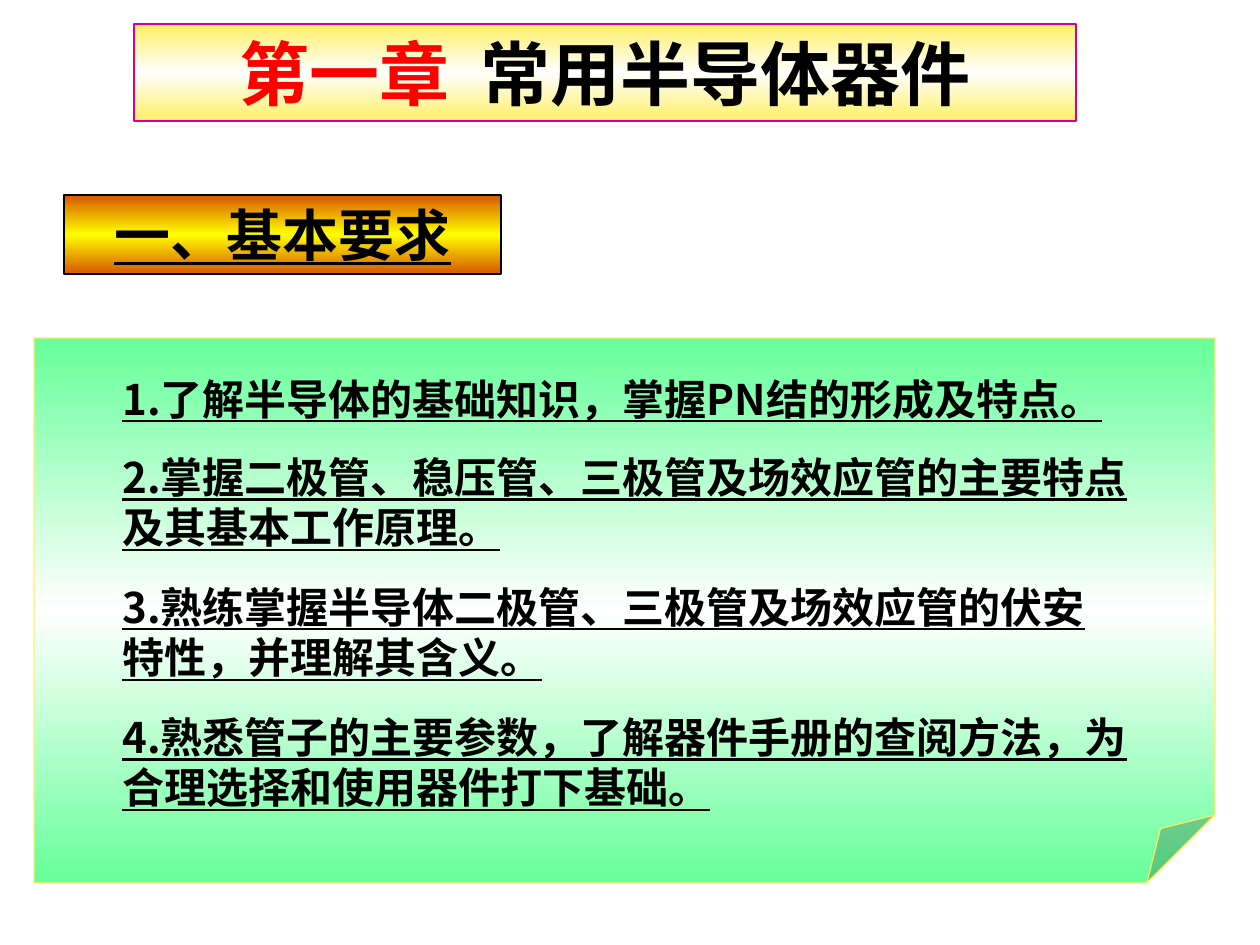
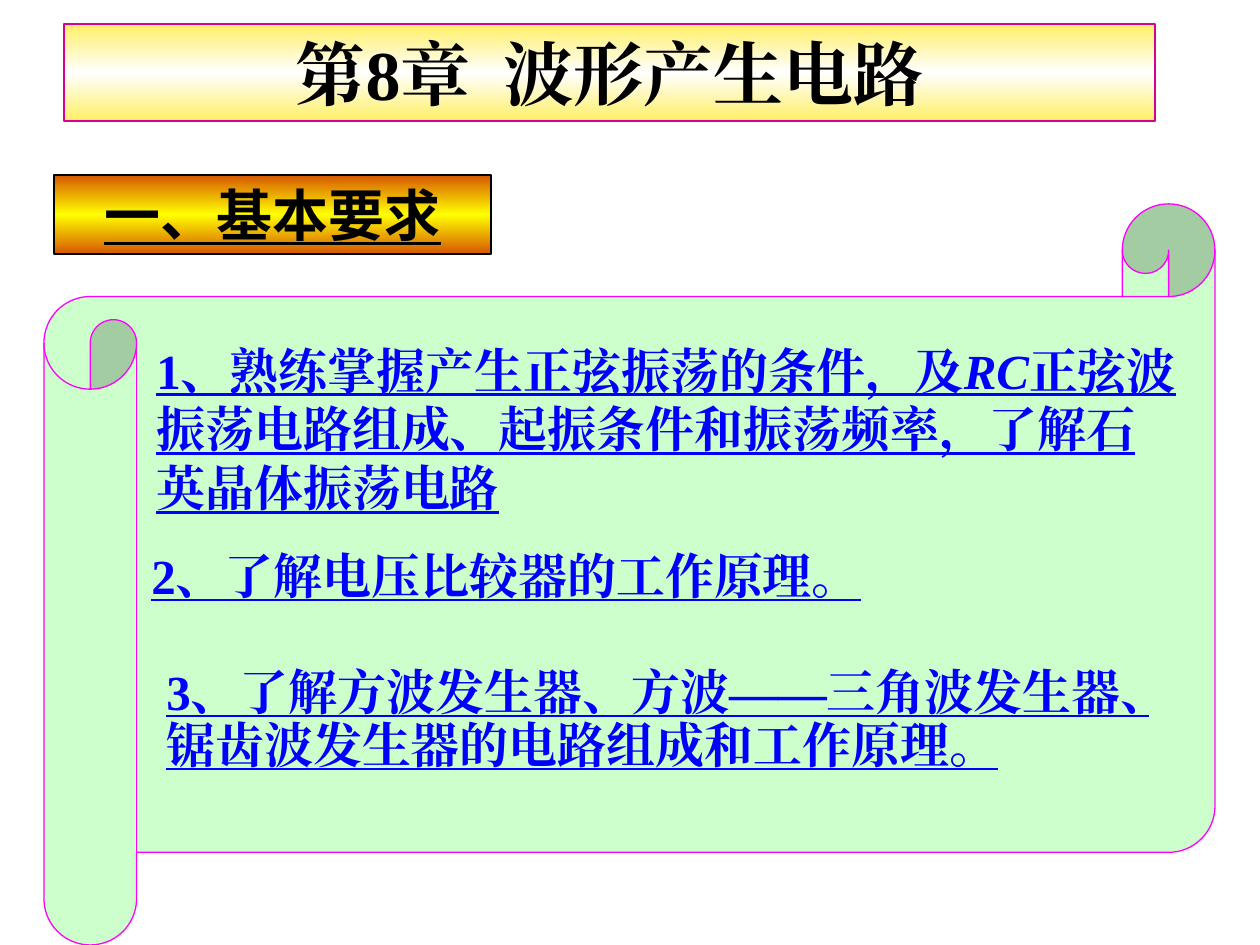
import copy
from dataclasses import dataclass

import lxml.etree
import pptx
import pptx.util
from pptx.dml.color import RGBColor
from pptx.enum.shapes import MSO_SHAPE
from pptx.enum.text import MSO_ANCHOR, PP_ALIGN
from pptx.oxml.ns import qn

PX = 914400 / 126


@dataclass(frozen=True)
class Theme:
    black: str = "000000"
    red: str = "FF0000"
    blue: str = "0000FF"
    magenta: str = "FF00FF"
    plum: str = "D60093"
    yellow: str = "FFEF66"
    bright_yellow: str = "FFFF00"
    orange: str = "D65700"
    green: str = "66FF99"
    pale_green: str = "CCFFCC"
    white: str = "FFFFFF"
    sans: str = "Noto Sans CJK SC"
    serif: str = "Times New Roman"
    heading_font: str = "Arial"
    title_size: int = 40
    heading_size: int = 32
    scroll_size: int = 28
    note_size: int = 24
    title_gap: int = 9  # extra width of the space after the chapter number


T = Theme()


def emu(*lengths):
    return [round(n * PX) for n in lengths]


# Shared drawing helpers
def fill_bands(sp, edge, middle):
    """Vertical gradient: edge colour, middle colour, edge colour."""
    sp.fill.gradient()
    sp.fill.gradient_angle = 270
    stops = sp._element.spPr.find(qn("a:gradFill")).find(qn("a:gsLst"))
    stops.append(copy.deepcopy(stops[-1]))
    for stop, pos, color in zip(sp.fill.gradient_stops, (0, 0.5, 1), (edge, middle, edge)):
        stop.position = pos
        stop.color.rgb = RGBColor.from_string(color)


def add_panel(s, kind, box, fill, line, weight=0.75):
    sp = s.shapes.add_shape(kind, *emu(*box))
    sp.shadow.inherit = False
    if isinstance(fill, tuple):
        fill_bands(sp, *fill)
    else:
        sp.fill.solid()
        sp.fill.fore_color.rgb = RGBColor.from_string(fill)
    sp.line.color.rgb = RGBColor.from_string(line)
    sp.line.width = pptx.util.Pt(weight)
    return sp


def add_run(p, text, font, size, color, underline=False, italic=False):
    r = p.add_run()
    r.text = text
    r.font.name = font
    r.font.size = pptx.util.Pt(size)
    r.font.bold = True
    r.font.italic = italic
    r.font.underline = underline
    r.font.color.rgb = RGBColor.from_string(color)
    latin = r.font._element.find(qn("a:latin"))
    east_asian = lxml.etree.Element(qn("a:ea"), typeface=font)
    latin.addnext(east_asian)
    return r


def add_paragraph_box(s, box, runs, font, size, color, spacing=None):
    """Underlined paragraph; runs are (text, italic) pairs."""
    tf = s.shapes.add_textbox(*emu(*box)).text_frame
    tf.word_wrap = True
    p = tf.paragraphs[0]
    p.line_spacing = spacing
    for text, italic in runs:
        add_run(p, text, font, size, color, True, italic)


# Regions
def chapter_title(s, box, number, name, font, number_color):
    sp = add_panel(s, MSO_SHAPE.RECTANGLE, box, (T.yellow, T.white), T.plum)
    tf = sp.text_frame
    tf.word_wrap = True
    tf.vertical_anchor = MSO_ANCHOR.TOP
    p = tf.paragraphs[0]
    p.alignment = PP_ALIGN.CENTER
    add_run(p, number, font, T.title_size, number_color)
    gap = add_run(p, " ", font, T.title_size, number_color)
    gap.font._element.set("spc", str(T.title_gap * 100))
    add_run(p, name, font, T.title_size, T.black)


def section_heading(s, left, top, text):
    sp = add_panel(s, MSO_SHAPE.RECTANGLE, (left, top, 437, 79),
                   (T.orange, T.bright_yellow), T.black, 1)
    tf = sp.text_frame
    tf.word_wrap = False
    tf.vertical_anchor = MSO_ANCHOR.MIDDLE
    p = tf.paragraphs[0]
    p.alignment = PP_ALIGN.CENTER
    add_run(p, text, T.heading_font, T.heading_size, T.black, True)


def folded_note(s, box, items):
    """Items are (text, width, line count), stacked at equal gaps."""
    sp = add_panel(s, MSO_SHAPE.FOLDED_CORNER, box, (T.green, T.white), T.yellow)
    guides = next(sp._element.iter(qn("a:avLst")))
    lxml.etree.SubElement(guides, qn("a:gd"), name="adj", fmla="val 12500")
    left, top = box[0] + 76, box[1] + 29
    line_height, gap = 52, 26
    for text, width, lines in items:
        height = lines * line_height
        add_paragraph_box(s, (left, top, width, height + 12), [(text, False)],
                          T.sans, T.note_size, T.black)
        top += height + gap


def scroll(s, box, items):
    """Items are (box within the scroll, line spacing, runs)."""
    add_panel(s, MSO_SHAPE.HORIZONTAL_SCROLL, box, T.pale_green, T.magenta)
    for (x, y, width, height), spacing, runs in items:
        add_paragraph_box(s, (box[0] + x, box[1] + y, width, height), runs,
                          T.serif, T.scroll_size, T.blue, spacing)


# Slides
HEADING = "一、基本要求"

SEMICONDUCTOR_GOALS = [
    ("1.了解半导体的基础知识，掌握PN结的形成及特点。", 1071, 1),
    ("2.掌握二极管、稳压管、三极管及场效应管的主要特点及其基本工作原理。", 1042, 2),
    ("3.熟练掌握半导体二极管、三极管及场效应管的伏安特性，并理解其含义。", 1012, 2),
    ("4.熟悉管子的主要参数，了解器件手册的查阅方法，为合理选择和使用器件打下基础。", 1043, 2),
]

WAVEFORM_GOALS = [
    ((100, 130, 1052, 189), None, [
        ("1、熟练掌握产生正弦振荡的条件，及", False),
        ("RC", True),
        ("正弦波振荡电路组成、起振条件和振荡频率，了解石英晶体振荡电路", False)]),
    ((95, 342, 800, 66), 0.9, [("2、了解电压比较器的工作原理。", False)]),
    ((110, 458, 1007, 118), 0.9, [
        ("3、了解方波发生器、方波——三角波发生器、锯齿波发生器的电路组成和工作原理。", False)]),
]


def semiconductor_slide(s):
    chapter_title(s, (134, 24, 942, 97), "第一章", "常用半导体器件", T.sans, T.red)
    section_heading(s, 64, 195, HEADING)
    folded_note(s, (34, 338, 1181, 545), SEMICONDUCTOR_GOALS)


def waveform_slide(s):
    scroll(s, (44, 204, 1171, 741), WAVEFORM_GOALS)
    chapter_title(s, (64, 24, 1091, 97), "第8章", "波形产生电路", T.serif, T.black)
    section_heading(s, 54, 175, HEADING)


def main():
    prs = pptx.Presentation()
    prs.slide_width, prs.slide_height = emu(1260, 945)
    for build in (semiconductor_slide, waveform_slide):
        build(prs.slides.add_slide(prs.slide_layouts[6]))
    prs.save("out.pptx")


if __name__ == "__main__":
    main()
